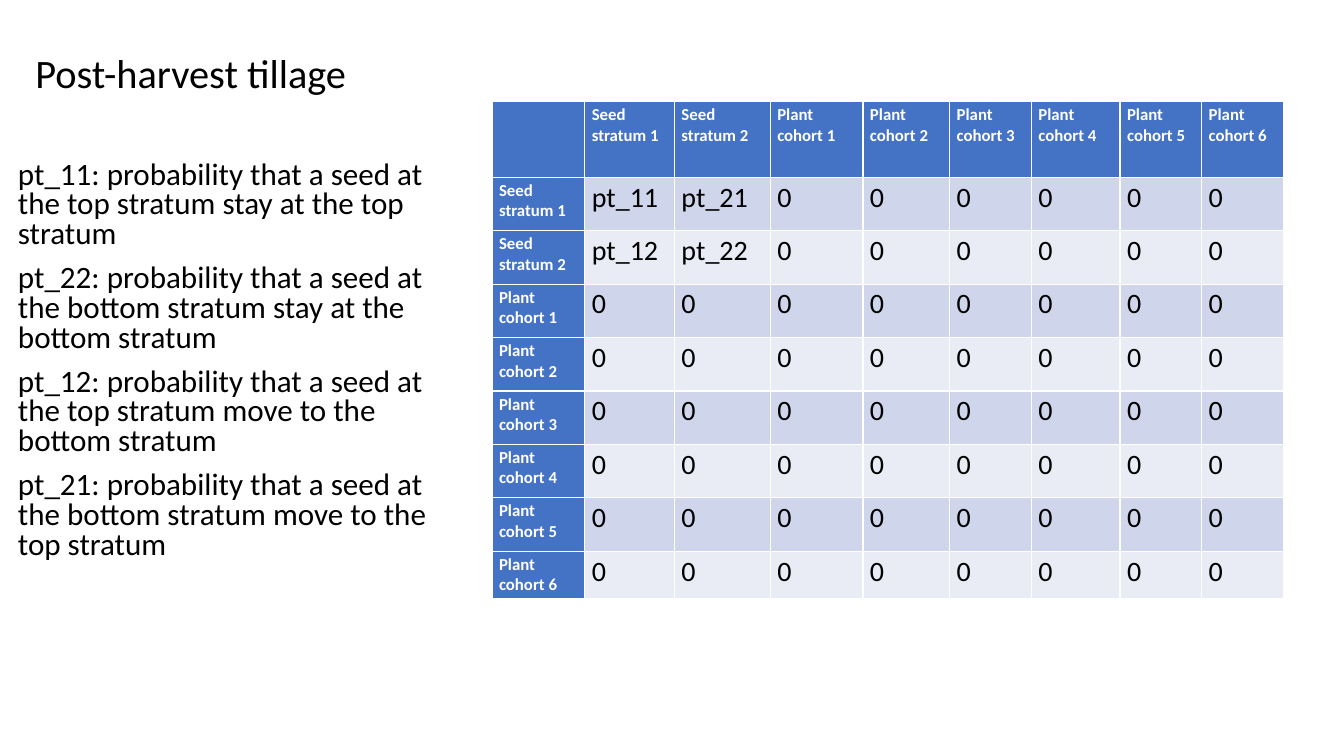
from dataclasses import dataclass

from pptx import Presentation
from pptx.dml.color import RGBColor
from pptx.enum.text import MSO_ANCHOR, MSO_AUTO_SIZE, PP_ALIGN
from pptx.util import Inches, Pt

LEFT = PP_ALIGN.LEFT
TOP = MSO_ANCHOR.TOP
BOTTOM = MSO_ANCHOR.BOTTOM
NO_AUTOFIT = MSO_AUTO_SIZE.NONE
TITLE_ONLY = 5
FONT = "Calibri"
COLORS = {
    "text": "000000",
    "header": "4472C4",
    "header_text": "FFFFFF",
    "odd_row": "CFD5EA",
    "even_row": "E9EBF5",
}


@dataclass(frozen=True)
class TextStyle:
    size: float
    color: str = "text"
    bold: bool = False
    line_spacing: float = 1.0
    space_before: float = 0


TITLE = TextStyle(28.8, line_spacing=0.9)
DEFINITION = TextStyle(22.2, line_spacing=0.8, space_before=10)
HEADER = TextStyle(12, "header_text", True)
VALUE = TextStyle(20)

STATES = [f"Seed stratum {number}" for number in range(1, 3)]
STATES += [f"Plant cohort {number}" for number in range(1, 7)]
PROBABILITIES = {(1, 1): "pt_11", (1, 2): "pt_21", (2, 1): "pt_12", (2, 2): "pt_22"}
DEFINITIONS = [
    ("pt_11", "top", "stay at the top"),
    ("pt_22", "bottom", "stay at the bottom"),
    ("pt_12", "top", "move to the bottom"),
    ("pt_21", "bottom", "move to the top"),
]
COLUMN_WIDTHS = [0.92, 0.89, 0.95, 0.92, 0.86, 0.81, 0.88, 0.81, 0.81]
ROW_HEIGHTS = [0.75] + [0.53] * 7 + [0.46]


def write(frame, lines: list[str], style: TextStyle) -> None:
    frame.text = "\n".join(lines)
    for para in frame.paragraphs:
        para.alignment = LEFT
        para.line_spacing = style.line_spacing
        para.space_before = Pt(style.space_before)
        para.font.name = FONT
        para.font.size = Pt(style.size)
        para.font.bold = style.bold
        para.font.color.rgb = RGBColor.from_string(COLORS[style.color])


def place_text(box, left: float, top: float, width: float, height: float,
               lines: list[str], style: TextStyle, anchor: MSO_ANCHOR) -> None:
    box.left, box.top = Inches(left), Inches(top)
    box.width, box.height = Inches(width), Inches(height)
    frame = box.text_frame
    frame.word_wrap = True
    frame.auto_size = NO_AUTOFIT
    frame.vertical_anchor = anchor
    write(frame, lines, style)


def cell_text(row: int, column: int) -> str:
    if row == column == 0:
        return ""
    if row == 0 or column == 0:
        return STATES[max(row, column) - 1]
    return PROBABILITIES.get((row, column), "0")


def fill_cell(cell, row: int, column: int) -> None:
    is_header = row == 0 or column == 0
    fill = "header" if is_header else "odd_row" if row % 2 else "even_row"
    cell.fill.solid()
    cell.fill.fore_color.rgb = RGBColor.from_string(COLORS[fill])
    cell.margin_left = cell.margin_right = Inches(0.07)
    cell.margin_top = cell.margin_bottom = Inches(0.03)
    cell.vertical_anchor = TOP
    write(cell.text_frame, [cell_text(row, column)], HEADER if is_header else VALUE)


def add_matrix(page, left: float, top: float) -> None:
    matrix = page.shapes.add_table(
        len(ROW_HEIGHTS), len(COLUMN_WIDTHS), Inches(left), Inches(top),
        Inches(sum(COLUMN_WIDTHS)), Inches(sum(ROW_HEIGHTS))).table
    matrix.first_col = True
    for column, width in zip(matrix.columns, COLUMN_WIDTHS):
        column.width = Inches(width)
    for row, height in enumerate(ROW_HEIGHTS):
        matrix.rows[row].height = Inches(height)
        for column in range(len(COLUMN_WIDTHS)):
            fill_cell(matrix.cell(row, column), row, column)


deck = Presentation()
deck.slide_width, deck.slide_height = Inches(13.33), Inches(7.5)
page = deck.slides.add_slide(deck.slide_layouts[TITLE_ONLY])
place_text(page.shapes.title, 0.25, 0.34, 3.5, 0.67,
           ["Post-harvest tillage"], TITLE, BOTTOM)
definition_box = page.shapes.add_textbox(0, 0, 0, 0)
place_text(definition_box, 0.08, 1.55, 4.3, 4.17,
           [f"{name}: probability that a seed at the {origin} stratum {move} stratum"
            for name, origin, move in DEFINITIONS], DEFINITION, TOP)
add_matrix(page, 4.88, 1.01)
deck.save("out.pptx")
